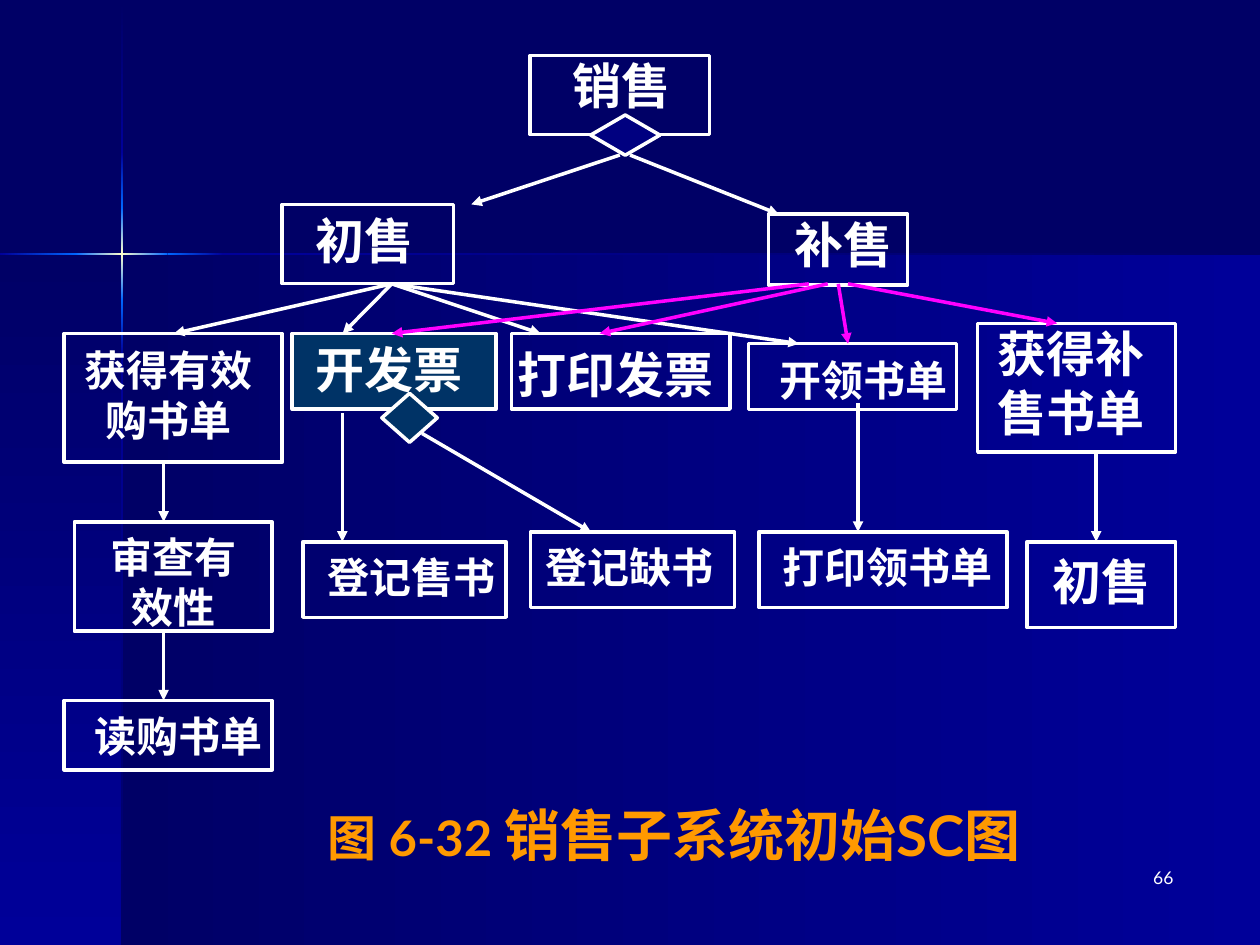
import lxml.etree
import pptx
import pptx.dml.color
import pptx.enum.dml
import pptx.enum.shapes
import pptx.enum.text
import pptx.oxml.ns
import pptx.util
from copy import deepcopy
from dataclasses import dataclass

Pt = pptx.util.Pt
Shape = pptx.enum.shapes.MSO_SHAPE
Align = pptx.enum.text.PP_ALIGN
AutoSize = pptx.enum.text.MSO_AUTO_SIZE
qn = pptx.oxml.ns.qn


@dataclass(frozen=True)
class Theme:
    night: str = "000066"
    blue: str = "000099"
    glow: str = "0066FF"
    spark: str = "FFFFCC"
    white: str = "FFFFFF"
    caption: str = "FF9900"
    shared: str = "003366"
    choice: str = "000080"
    resale: str = "FF00FF"
    latin: str = "Lato"
    chinese: str = "Noto Sans CJK SC"
    title: int = 32
    large: int = 28
    medium: int = 24
    number: int = 10
    stroke: int = 2


THEME = Theme()


def color(value):
    return pptx.dml.color.RGBColor.from_string(value)


def write(para, text, font=THEME.chinese, size=THEME.large, ink=THEME.white, bold=True):
    span = para.add_run()
    span.text = text
    span.font.size = Pt(size)
    span.font.bold = bold
    span.font.color.rgb = color(ink)
    span.font.name = font
    east_asian = lxml.etree.SubElement(span.font._element, qn("a:ea"))
    east_asian.set("typeface", THEME.latin)


class Painter:
    def __init__(self, page, theme):
        self.page = page
        self.theme = theme

    def background(self, value):
        fill = self.page.background.fill
        fill.solid()
        fill.fore_color.rgb = color(value)

    def shape(self, kind, box):
        shape = self.page.shapes.add_shape(kind, *map(Pt, box))
        shape.shadow.inherit = False
        return shape

    def outlined(self, kind, box, fill=None):
        shape = self.shape(kind, box)
        if fill:
            shape.fill.solid()
            shape.fill.fore_color.rgb = color(fill)
        else:
            shape.fill.background()
        shape.line.color.rgb = color(self.theme.white)
        shape.line.width = Pt(self.theme.stroke)

    def gradient(self, box, colors, angle):
        shape = self.shape(Shape.RECTANGLE, box)
        shape.line.fill.background()
        shape.fill.gradient()
        shape.fill.gradient_angle = angle
        stop_list = next(shape._element.iter(qn("a:gsLst")))
        for extra in colors[2:]:
            stop_list.append(deepcopy(stop_list[0]))
        for index, (stop, value) in enumerate(zip(shape.fill.gradient_stops, colors)):
            stop.position = index / (len(colors) - 1)
            stop.color.rgb = color(value)

    def text(self, box, lines, align=Align.CENTER, inset=(0, 0), grow=True):
        frame = self.page.shapes.add_textbox(*map(Pt, box)).text_frame
        frame.word_wrap = True
        frame.auto_size = AutoSize.SHAPE_TO_FIT_TEXT if grow else AutoSize.NONE
        frame.margin_left = frame.margin_right = Pt(inset[0])
        frame.margin_top = frame.margin_bottom = Pt(inset[1])
        for index, spans in enumerate(lines):
            para = frame.add_paragraph() if index else frame.paragraphs[0]
            para.alignment = align
            for text, style in spans:
                write(para, text, **style)

    def arrow(self, start, end, ink):
        line = self.page.shapes.add_connector(
            pptx.enum.shapes.MSO_CONNECTOR.STRAIGHT, *map(Pt, (*start, *end)))
        line.line.color.rgb = color(ink)
        line.line.width = Pt(self.theme.stroke)
        head = lxml.etree.SubElement(line.line._get_or_add_ln(), qn("a:tailEnd"))
        head.set("type", "triangle")
        lxml.etree.SubElement(line._element.spPr, qn("a:effectLst"))


RIGHTWARD, DOWNWARD, LEFTWARD = 0, 270, 180

BACKDROP = [
    ((69.8, 145.5, 650.2, 394.5), (THEME.night, THEME.blue), RIGHTWARD),
    ((0, 145.5, 69.8, 394.5), (THEME.night, THEME.blue), DOWNWARD),
    ((69.1, 0.7, 1.4, 86.4), (THEME.night, THEME.blue), DOWNWARD),
    ((69.1, 203, 1.4, 337), (THEME.blue, THEME.night), DOWNWARD),
    ((127.4, 144.8, 592.6, 1), (THEME.night, THEME.blue), LEFTWARD),
    ((69.1, 171.4, 1.4, 31.6), (THEME.glow, THEME.blue), DOWNWARD),
    ((69.1, 87.1, 1.4, 31.7), (THEME.blue, THEME.glow), DOWNWARD),
    ((69.1, 118.8, 1.4, 52.6), (THEME.glow, THEME.spark, THEME.glow), DOWNWARD),
    ((0, 144.8, 43.9, 1), (THEME.glow, THEME.blue), LEFTWARD),
    ((95.8, 144.8, 31.6, 1), (THEME.blue, THEME.glow), LEFTWARD),
    ((43.2, 144.8, 52.6, 1), (THEME.glow, THEME.spark, THEME.glow), LEFTWARD),
]

LARGE = {"size": THEME.large}
MEDIUM = {"size": THEME.medium}
LATIN = {"size": THEME.large, "font": THEME.latin}
PADDED = {"inset": (7.2, 3.6)}

MODULES = [
    ((303, 31.7, 102.5, 45.2), None, (327, 31.7, 56, 33.6), ["销售"], LARGE, {}),
    ((292.3, 190.6, 124.9, 43.2), None, (292.3, 196.6, 118.8, 33.6), ["打印发票"], LARGE, {}),
    ((439.2, 122.4, 79.4, 40.5), None, (450.7, 122.4, 62.6, 33.6), ["补售"], LARGE, {}),
    ((161.3, 116.8, 98, 45.3), None, (171.4, 116.8, 74, 40.8), ["初售"], LATIN, PADDED),
    ((167, 190.6, 116.4, 43.2), THEME.shared, (172.8, 190.6, 98.6, 40.8), ["开发票"], LATIN, PADDED),
    ((36.7, 190.6, 124.6, 73.6), None, (42.5, 196.6, 108, 57.6), ["获得有效", "购书单"], MEDIUM, {}),
    ((427.7, 196.4, 119, 37.6), None, (439.2, 202.3, 108, 28.8), ["开领书单"], MEDIUM, {}),
    ((558.7, 184.8, 113.1, 73.5), None, (569.5, 184.8, 85, 67.2), ["获得补", "售书单"], LARGE, {}),
    ((42.5, 298.2, 113, 62.5), None, (48.2, 303.8, 102.2, 57.6), ["审查有", "效性"], MEDIUM, {}),
    ((173, 309.6, 116.2, 43.2), None, (184.3, 315.4, 102.2, 28.8), ["登记售书"], MEDIUM, {}),
    ((303.1, 304, 116.6, 43.2), None, (308.9, 309.6, 102.2, 28.8), ["登记缺书"], MEDIUM, {}),
    ((433.6, 304, 142, 43.2), None, (439.2, 309.6, 136.1, 28.8), ["打印领书单"], MEDIUM, {}),
    ((586.8, 309.6, 85, 49), None, (586.8, 315.4, 85, 33.6), ["初售"], LARGE, {}),
    ((36.7, 400.3, 118.8, 39.6), None, (42.5, 406.1, 118.8, 28.8), ["读购书单"], MEDIUM, {}),
]

CHOICES = [
    ((337.5, 65.7, 39.6, 23), THEME.choice),
    ((218.2, 224.8, 31.7, 28), THEME.shared),
]

SALE = (223.9, 162.2)
CALLS = {
    THEME.white: [
        ((354.2, 88.6), (269.3, 116.8)),
        ((360, 88.6), (445, 122.4)),
        *((SALE, end) for end in
          [(99.4, 190.6), (456.5, 196.4), (195.8, 190.6), (308.9, 190.6)]),
        ((93.5, 264.2), (93.5, 298.2)),
        ((93.5, 360.7), (93.5, 400.3)),
        ((241.2, 247.7), (337.7, 304)),
        ((195.6, 236.2), (195.6, 309.6)),
        ((490.3, 230.4), (490.3, 304)),
        ((626.4, 258.5), (626.4, 309.6)),
    ],
    THEME.resale: [
        ((484.6, 162.2), (604.1, 184.8)),
        ((479, 162.2), (484.6, 196.4)),
        ((473, 162.2), (342.7, 190.6)),
        ((462.2, 162.2), (223.9, 190.6)),
    ],
}


def main():
    deck = pptx.Presentation()
    deck.slide_width, deck.slide_height = Pt(720), Pt(540)
    page = deck.slides.add_slide(deck.slide_layouts[6])
    painter = Painter(page, THEME)

    painter.background(THEME.night)
    for strip in BACKDROP:
        painter.gradient(*strip)

    for box, fill, *_ in MODULES:
        painter.outlined(Shape.RECTANGLE, box, fill)
    for box, fill in CHOICES:
        painter.outlined(Shape.DIAMOND, box, fill)
    for ink, routes in CALLS.items():
        for start, end in routes:
            painter.arrow(start, end, ink)
    for _, _, label_box, lines, style, layout in MODULES:
        painter.text(label_box, [[(line, style)] for line in lines], **layout)

    caption = {"size": THEME.title, "ink": THEME.caption}
    painter.text((155.5, 457.2, 459.4, 38.4), [[
        ("图 6-32 ", {**caption, "size": THEME.large, "font": THEME.latin}),
        ("销售子系统初始", caption),
        ("SC图", {**caption, "font": THEME.latin}),
    ]])
    number = {"size": THEME.number, "font": THEME.latin, "bold": False}
    painter.text((527.8, 491.8, 149.8, 36), [[("66", number)]],
                 align=Align.RIGHT, grow=False, **PADDED)

    deck.save("out.pptx")


if __name__ == "__main__":
    main()
